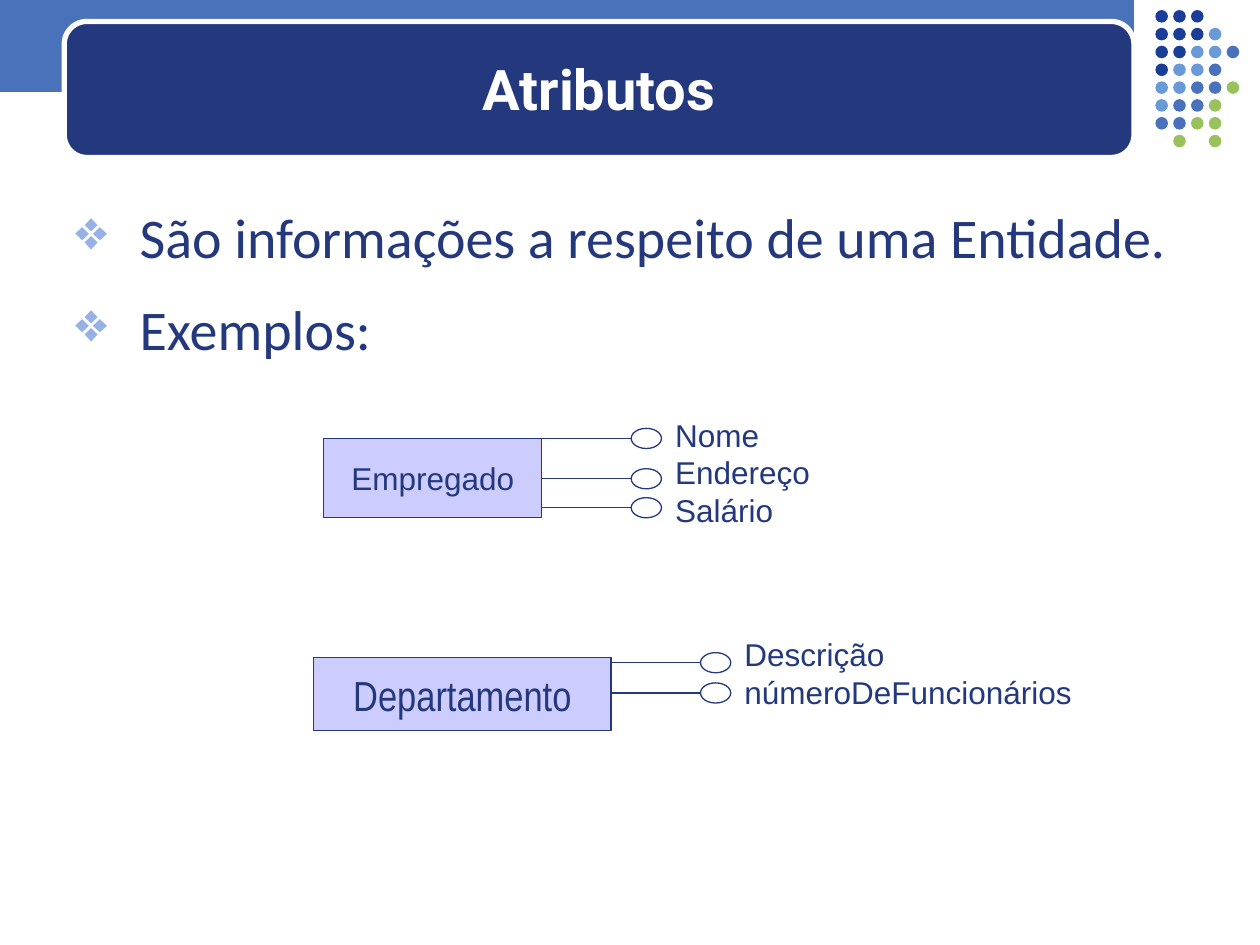
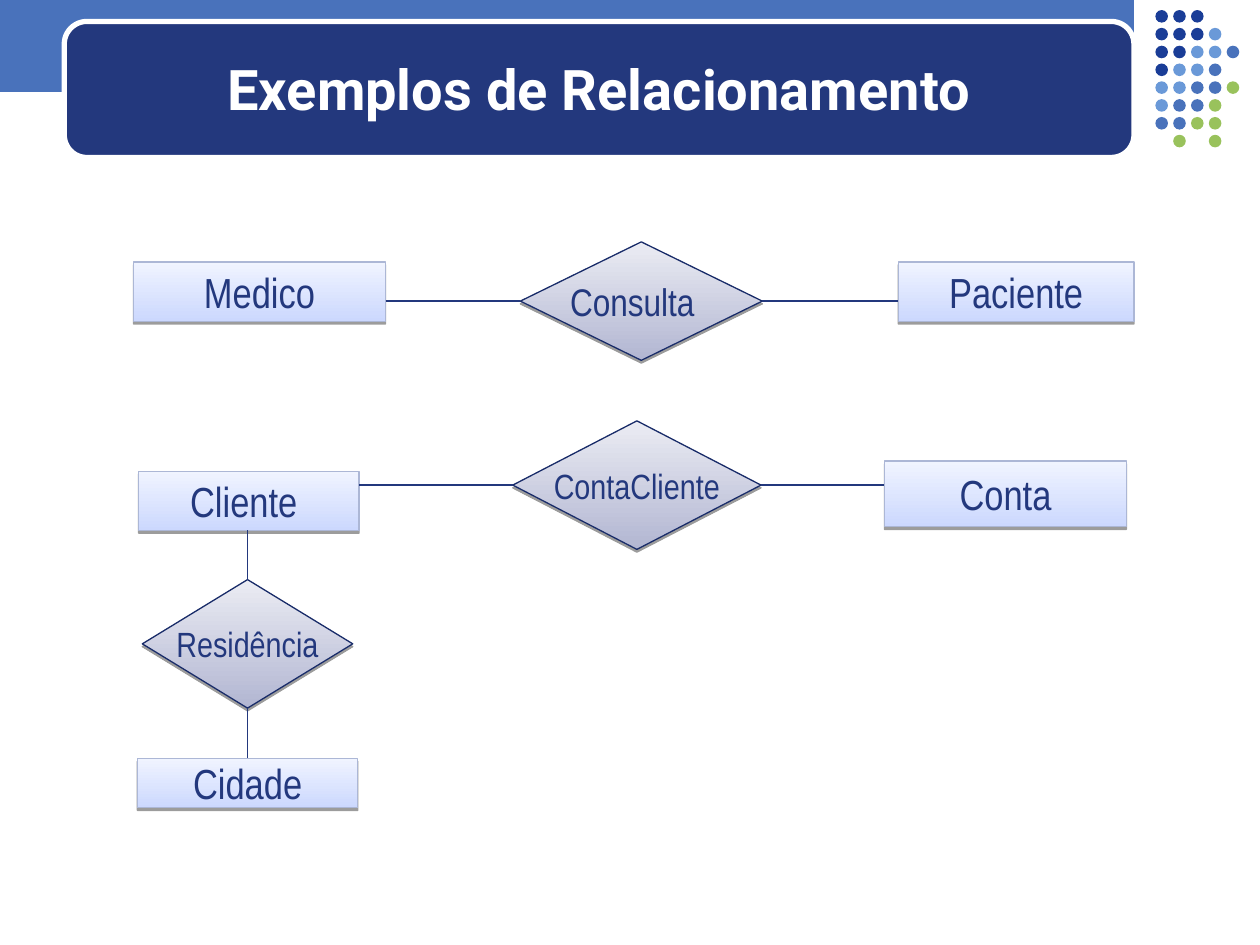
"""Build two slides on entity attributes and relationships."""
import typing

import lxml.etree
import pptx
import pptx.dml.color
import pptx.enum.shapes
import pptx.enum.text
import pptx.oxml.ns
import pptx.util

Inches = pptx.util.Inches
Pt = pptx.util.Pt
SHAPES = pptx.enum.shapes.MSO_SHAPE
ALIGN = pptx.enum.text.PP_ALIGN
ANCHOR = pptx.enum.text.MSO_ANCHOR

NAVY = "23387D"
BLUE = "4972BB"
WHITE = "FFFFFF"
LAVENDER = "CCCCFF"
BULLET = "96B1E6"
ENTITY_STYLE = {"fill": ("CCD8FE", "F0F4FF"), "line": "ACB7D6", "shadow": True}
RELATION_STYLE = {"fill": ("B2B6D2", "EBECF3"), "line": "192C69", "shadow": True}
DOT_COLORS = {"N": "1A3D97", "L": "6A99D8", "B": BLUE, "G": "99C25C"}
DOT_ROWS = ("NNN", "NNNL", "NNLLB", "NLLB", "LLBBG", "LBBG", "BBGG", " G G")


class Box(typing.NamedTuple):
    """Area on a slide, in inches."""
    left: float
    top: float
    width: float
    height: float

    @property
    def right(self):
        """Return the right edge."""
        return self.left + self.width

    @property
    def bottom(self):
        """Return the lower edge."""
        return self.top + self.height

    @property
    def center(self):
        """Return the horizontal and vertical centre."""
        return self.left + self.width / 2, self.top + self.height / 2

    def lengths(self):
        """Return the four values as slide lengths."""
        return [Inches(value) for value in self]


def color(value):
    """Turn a hex string into a colour."""
    return pptx.dml.color.RGBColor.from_string(value)


def add_element(parent, tag, **attributes):
    """Append a drawing element to a parent."""
    element = lxml.etree.SubElement(parent, pptx.oxml.ns.qn(tag))
    for name, value in attributes.items():
        element.set(name, str(value))
    return element


def write_text(frame, text, *, size=18, font="Arial", ink=NAVY, bold=False, align=ALIGN.LEFT,
               anchor=ANCHOR.TOP, wrap=True, before=0, after=0, shift=0):
    """Write one paragraph per line; shift moves centred text to the left."""
    frame.word_wrap = wrap
    frame.vertical_anchor = anchor
    frame.margin_left, frame.margin_right = Inches(0.1), Inches(0.1 + 2 * shift)
    frame.margin_top = frame.margin_bottom = Inches(0.05)
    for index, line in enumerate(text.split("\n")):
        paragraph = frame.add_paragraph() if index else frame.paragraphs[0]
        paragraph.alignment = align
        paragraph.space_before, paragraph.space_after = Pt(before), Pt(after)
        run = paragraph.add_run()
        run.text = line
        run.font.size, run.font.name, run.font.bold = Pt(size), font, bold
        run.font.color.rgb = color(ink)


def add_shape(shapes, kind, box, *, fill=None, line=None, line_width=0.75, shadow=False):
    """Add a preset shape with a plain, gradient or empty fill."""
    shape = shapes.add_shape(kind, *box.lengths())
    shape.shadow.inherit = False
    if fill is None:
        shape.fill.background()
    elif isinstance(fill, str):
        shape.fill.solid()
        shape.fill.fore_color.rgb = color(fill)
    else:
        shape.fill.gradient()
        shape.fill.gradient_angle = 90
        for stop, value in zip(shape.fill.gradient_stops, fill):
            stop.color.rgb = color(value)
    if line:
        shape.line.color.rgb = color(line)
        shape.line.width = Pt(line_width)
    else:
        shape.line.fill.background()
    if shadow:
        effects = shape._element.spPr.find(pptx.oxml.ns.qn("a:effectLst"))
        outer = add_element(effects, "a:outerShdw", dist=Pt(1.6), dir=5400000, rotWithShape=0)
        black = add_element(outer, "a:srgbClr", val="000000")
        add_element(black, "a:alpha", val=38000)
    return shape


def add_node(slide, kind, box, text, *, size=24, font="Arial Narrow", shift=0, **style):
    """Add a shape with a centred name and return its box."""
    shape = add_shape(slide.shapes, kind, box, **style)
    write_text(shape.text_frame, text, size=size, font=font, align=ALIGN.CENTER,
               anchor=ANCHOR.MIDDLE, wrap=False, shift=shift)
    return box


def add_line(slide, start, end):
    """Join two points with a thin line."""
    points = [Inches(value) for value in (*start, *end)]
    connector = slide.shapes.add_connector(pptx.enum.shapes.MSO_CONNECTOR.STRAIGHT, *points)
    connector.line.color.rgb = color(NAVY)
    connector.line.width = Pt(0.75)
    add_element(connector._element.spPr, "a:effectLst")


def add_dots(slide, box):
    """Place the coloured dots on an even grid."""
    group = slide.shapes.add_group_shape()
    pitch = (box.height - 0.1) / (len(DOT_ROWS) - 1)
    for row, codes in enumerate(DOT_ROWS):
        for column, code in enumerate(codes):
            if code in DOT_COLORS:
                dot = Box(box.left + column * pitch, box.top + row * pitch, 0.1, 0.1)
                add_shape(group.shapes, SHAPES.OVAL, dot, fill=DOT_COLORS[code])


def add_header(slide, box, text):
    """Draw the band, panel and dots, and put the title in front."""
    add_shape(slide.shapes, SHAPES.RECTANGLE, Box(0, -0.03, 9, 0.76), fill=BLUE)
    add_shape(slide.shapes, SHAPES.ROUNDED_RECTANGLE, box, fill=NAVY, line=WHITE, line_width=3)
    add_dots(slide, Box(box.right + 0.17, 0.08, 0.67, 1.09))
    title = slide.shapes.title
    title_box = Box(box.left + 0.09, box.top + 0.06, box.width - 0.18, box.height - 0.14)
    title.left, title.top, title.width, title.height = title_box.lengths()
    write_text(title.text_frame, text, size=32, font="Roboto", ink=WHITE, bold=True,
               align=ALIGN.CENTER, anchor=ANCHOR.MIDDLE)
    slide.shapes._spTree.append(title._element)


def new_slide(presentation, title):
    """Add a title-only slide with the shared header."""
    slide = presentation.slides.add_slide(presentation.slide_layouts[5])
    add_header(slide, Box(0.51, 0.17, 8.49, 1.08), title)
    return slide


def add_bullets(slide, box, text):
    """Add a list with diamond bullets."""
    frame = slide.shapes.add_textbox(*box.lengths()).text_frame
    write_text(frame, text, size=32, font="Calibri", before=8, after=6)
    for paragraph in frame.paragraphs:
        properties = paragraph._p.get_or_add_pPr()
        properties.set("marL", str(Inches(0.51)))
        properties.set("indent", str(-Inches(0.51)))
        add_element(add_element(properties, "a:buClr"), "a:srgbClr", val=BULLET)
        add_element(properties, "a:buChar", char="❖")


def add_entity(slide, box, name, attributes, offsets, **text_format):
    """Draw an entity with a stem, an oval and a label for each attribute."""
    add_node(slide, SHAPES.RECTANGLE, box, name, fill=LAVENDER, line=NAVY, **text_format)
    oval_left = box.right + 0.71
    for offset in offsets:
        y = box.top + offset
        add_shape(slide.shapes, SHAPES.OVAL, Box(oval_left, y - 0.08, 0.24, 0.16), line=NAVY)
        add_line(slide, (box.right, y), (oval_left, y))
    labels = Box(oval_left + 0.25, box.top - 0.23, 3, 1)
    write_text(slide.shapes.add_textbox(*labels.lengths()).text_frame, "\n".join(attributes))


def link_across(slide, left, relation, right):
    """Join a relation to the entities on both sides."""
    y = relation.center[1]
    add_line(slide, (left.right, y), (relation.left, y))
    add_line(slide, (relation.right, y), (right.left, y))


def link_down(slide, upper, relation, lower):
    """Join a relation to the entities above and below."""
    x = relation.center[0]
    add_line(slide, (x, upper.bottom), (x, relation.top))
    add_line(slide, (x, relation.bottom), (x, lower.top))


def build_attributes(presentation):
    """Build the slide on attributes."""
    slide = new_slide(presentation, "Atributos")
    add_bullets(slide, Box(0.5, 1.56, 9.17, 5.35),
                "São informações a respeito de uma Entidade.\nExemplos:")
    add_entity(slide, Box(2.57, 3.48, 1.73, 0.63), "Empregado",
               ("Nome", "Endereço", "Salário"), (0, 0.32, 0.55), size=18, font="Arial")
    add_entity(slide, Box(2.49, 5.22, 2.36, 0.58), "Departamento",
               ("Descrição", "númeroDeFuncionários"), (0.04, 0.28))


def build_relationships(presentation):
    """Build the slide on relationships."""
    slide = new_slide(presentation, "Exemplos de Relacionamento")

    def entity(box, name, **text_format):
        """Add an entity rectangle."""
        return add_node(slide, SHAPES.RECTANGLE, Box(*box), name, **ENTITY_STYLE, **text_format)

    def relation(box, name, **text_format):
        """Add a relation diamond."""
        return add_node(slide, SHAPES.FLOWCHART_DECISION, Box(*box), name,
                        **RELATION_STYLE, **text_format)

    doctor = entity((1.06, 2.08, 2, 0.47), "Medico")
    patient = entity((7.13, 2.08, 1.87, 0.47), "Paciente")
    visit = relation((4.13, 1.92, 1.92, 0.94), "Consulta", size=22, shift=0.07)
    link_across(slide, doctor, visit, patient)

    client = entity((1.1, 3.74, 1.75, 0.47), "Cliente", shift=0.04)
    account = entity((7.02, 3.66, 1.92, 0.52), "Conta")
    ownership = relation((4.07, 3.34, 1.97, 1.02), "ContaCliente", size=20)
    link_across(slide, client, ownership, account)

    city = entity((1.09, 6.02, 1.75, 0.39), "Cidade")
    residence = relation((1.13, 4.6, 1.67, 1.02), "Residência", size=20)
    link_down(slide, client, residence, city)


def main():
    """Build and save the presentation."""
    presentation = pptx.Presentation()
    presentation.slide_width, presentation.slide_height = Inches(10), Inches(7.5)
    build_attributes(presentation)
    build_relationships(presentation)
    presentation.save("out.pptx")


if __name__ == "__main__":
    main()
